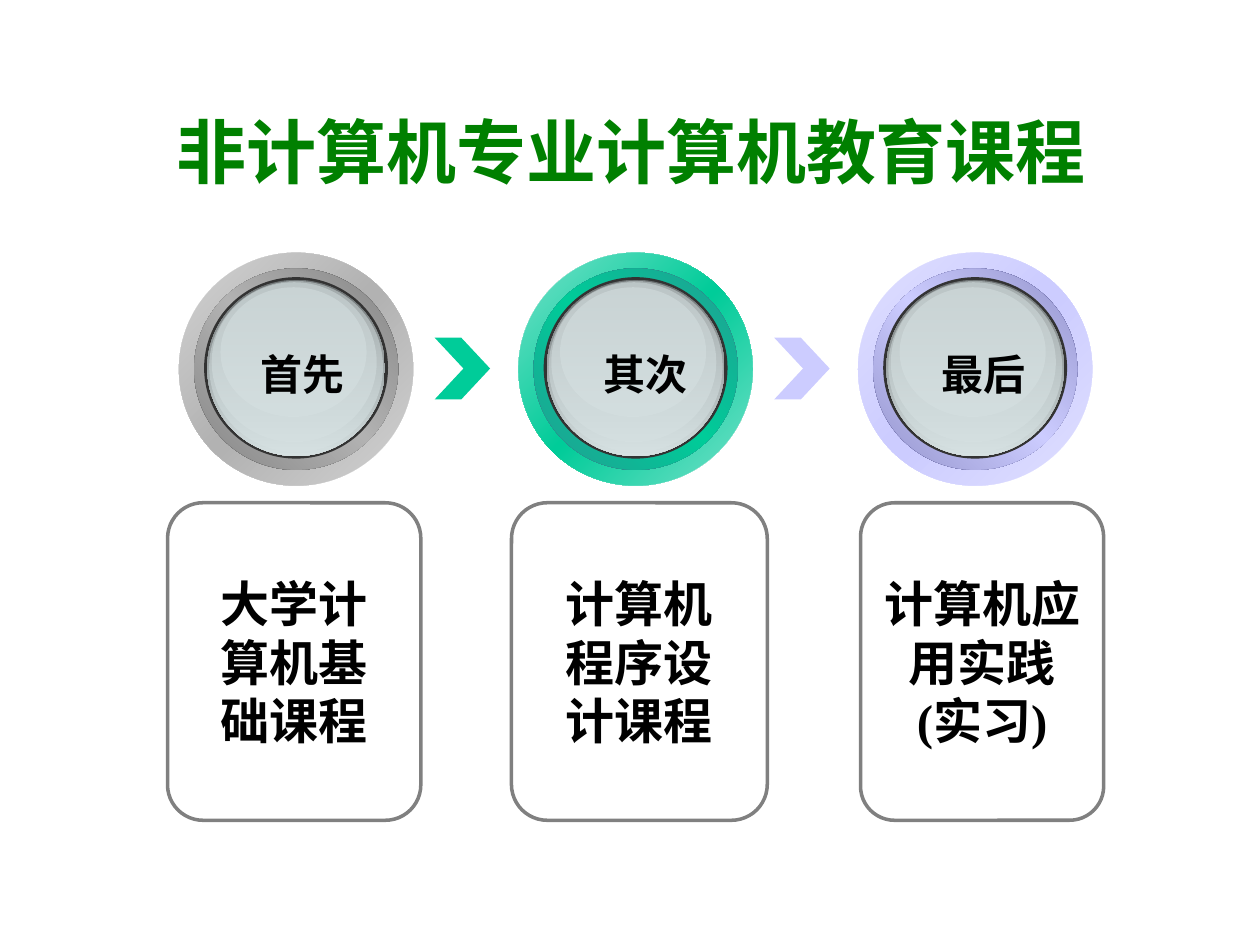
from copy import deepcopy

from lxml import etree
from pptx import Presentation
from pptx.dml.color import RGBColor
from pptx.enum.shapes import MSO_SHAPE
from pptx.enum.text import MSO_ANCHOR, MSO_AUTO_SIZE, PP_ALIGN
from pptx.oxml.ns import qn
from pptx.util import Inches, Pt

OVAL, CHEVRON, CARD = MSO_SHAPE.OVAL, MSO_SHAPE.CHEVRON, MSO_SHAPE.ROUNDED_RECTANGLE
CENTER, MIDDLE, TOP = PP_ALIGN.CENTER, MSO_ANCHOR.MIDDLE, MSO_ANCHOR.TOP
NO_FIT = MSO_AUTO_SIZE.NONE
TITLE_ONLY = 5
WIDTH, HEIGHT = 10, 7.5
COLUMNS, ROWS = 100, 75

DISC_X, DISC_Y, PITCH = 23.5, 29.3, 26.95
BLACK, RIM, GLASS, GLASS_EDGE = "000000", "333333", "D6E1E2", "6B7071"
GLASS_VEILS = [(0, -0.2, 13.8, 13.6), (-0.15, -0.55, 13.1, 12.7), (-0.2, -1.35, 11.6, 10.3)]

STEPS = [
    {"label": "首先", "label_width": 9.6, "color": "B2B2B2", "light": "F4F4F4", "dark": "5A5A5A",
     "card": (13.3, 20.1), "font": "DejaVu Sans", "lines": [["大学计"], ["算机基", "础课程"]]},
    {"label": "其次", "label_width": 10.1, "color": "00CC99", "light": "F1F8FD", "dark": "476E8B",
     "card": (40.6, 20.3), "font": "DejaVu Sans", "lines": [["计算机", "程序设", "计课程"]]},
    {"label": "最后", "label_width": 9.9, "color": "CCCCFF", "light": "F5F5FF", "dark": "5C5C99",
     "card": (68.3, 19.3), "font": "Times New Roman", "lines": [["计算机应用实践(实习)"]]},
]


def rgb(value):
    return RGBColor.from_string(value)


class Deck:
    def __init__(self):
        self.deck = Presentation()
        self.deck.slide_width, self.deck.slide_height = Inches(WIDTH), Inches(HEIGHT)
        self.page = self.deck.slides.add_slide(self.deck.slide_layouts[TITLE_ONLY])

    def place(self, left, top, width, height):
        column, row = self.deck.slide_width / COLUMNS, self.deck.slide_height / ROWS
        return [round(v) for v in (left * column, top * row, width * column, height * row)]

    def add_text(self, box, lines, size, font, color, anchor):
        frame = box.text_frame
        frame.word_wrap, frame.auto_size, frame.vertical_anchor = True, NO_FIT, anchor
        for number, pieces in enumerate(lines):
            para = frame.add_paragraph() if number else frame.paragraphs[0]
            para.alignment = CENTER
            for position, piece in enumerate(pieces):
                if position:
                    para.add_line_break()
                span = para.add_run()
                span.text = piece
                span.font.size, span.font.name, span.font.bold = Pt(size), font, True
                span.font.color.rgb = rgb(color)

    def title(self, text, cell):
        box = self.page.shapes.title
        box.left, box.top, box.width, box.height = self.place(*cell)
        self.add_text(box, [[text]], 40, "Times New Roman", "008000", MIDDLE)

    def label(self, text, cell):
        box = self.page.shapes.add_textbox(*self.place(*cell))
        self.add_text(box, [[text]], 24, "Arial", BLACK, TOP)

    def shape(self, kind, cell, fill=None, alpha=None, parent=None):
        box = (parent or self.page).shapes.add_shape(kind, *self.place(*cell))
        box.shadow.inherit = False
        box.line.fill.background()
        if fill is None:
            box.fill.background()
            return box
        box.fill.solid()
        box.fill.fore_color.rgb = rgb(fill)
        if alpha:
            color = box._element.spPr.find(qn("a:solidFill"))[0]
            etree.SubElement(color, qn("a:alpha")).set("val", str(alpha * 1000))
        return box

    def gradient(self, box, colors, angle):
        box.fill.gradient()
        box.fill.gradient_angle = angle
        stops = box._element.spPr.find(qn("a:gradFill")).find(qn("a:gsLst"))
        for _ in colors[2:]:
            stops.append(deepcopy(stops[0]))
        for number, (stop, color) in enumerate(zip(box.fill.gradient_stops, colors)):
            stop.position = number / (len(colors) - 1)
            stop.color.rgb = rgb(color)

    def card(self, cell, lines, font):
        box = self.shape(CARD, cell)
        box.adjustments[0] = 0.14
        box.line.color.rgb = rgb("808080")
        box.line.width = Pt(2)
        self.add_text(box, lines, 28, font, BLACK, MIDDLE)

    def chevron(self, cell, color):
        self.shape(CHEVRON, cell, color).adjustments[0] = 0.52

    def disc(self, x, y, color, light, dark):
        def around(dx, dy, width, height):
            return x + dx - width / 2, y + dy - height / 2, width, height

        for width, height, edge, angle in [(18.6, 18.5, light, 315), (16.2, 16, dark, 45)]:
            cell = around(0, 0, width, height)
            self.gradient(self.shape(OVAL, cell, color), [edge, color, edge], angle)
            self.shape(OVAL, cell, color, 50)
        self.shape(OVAL, around(0, -0.1, 14.6, 14.4), RIM)
        lens = self.page.shapes.add_group_shape()
        base = self.shape(OVAL, around(0, -0.1, 14.1, 14), GLASS, parent=lens)
        self.gradient(base, [GLASS_EDGE, GLASS], 270)
        for veil in GLASS_VEILS:
            self.shape(OVAL, around(*veil), GLASS, 50, lens)


def main():
    deck = Deck()
    deck.title("非计算机专业计算机教育课程", (5.1, 7.6, 90, 8.7))
    for number, step in enumerate(STEPS):
        shift = number * PITCH
        left, width = step["card"]
        deck.card((left, 39.9, width, 25.2), step["lines"], step["font"])
        deck.disc(DISC_X + shift, DISC_Y, step["color"], step["light"], step["dark"])
        deck.label(step["label"], (19.2 + shift, 27.2, step["label_width"], 5))
        if number:
            deck.chevron((7.55 + shift, 26.8, 4.4, 4.9), step["color"])
    deck.deck.save("out.pptx")


if __name__ == "__main__":
    main()
